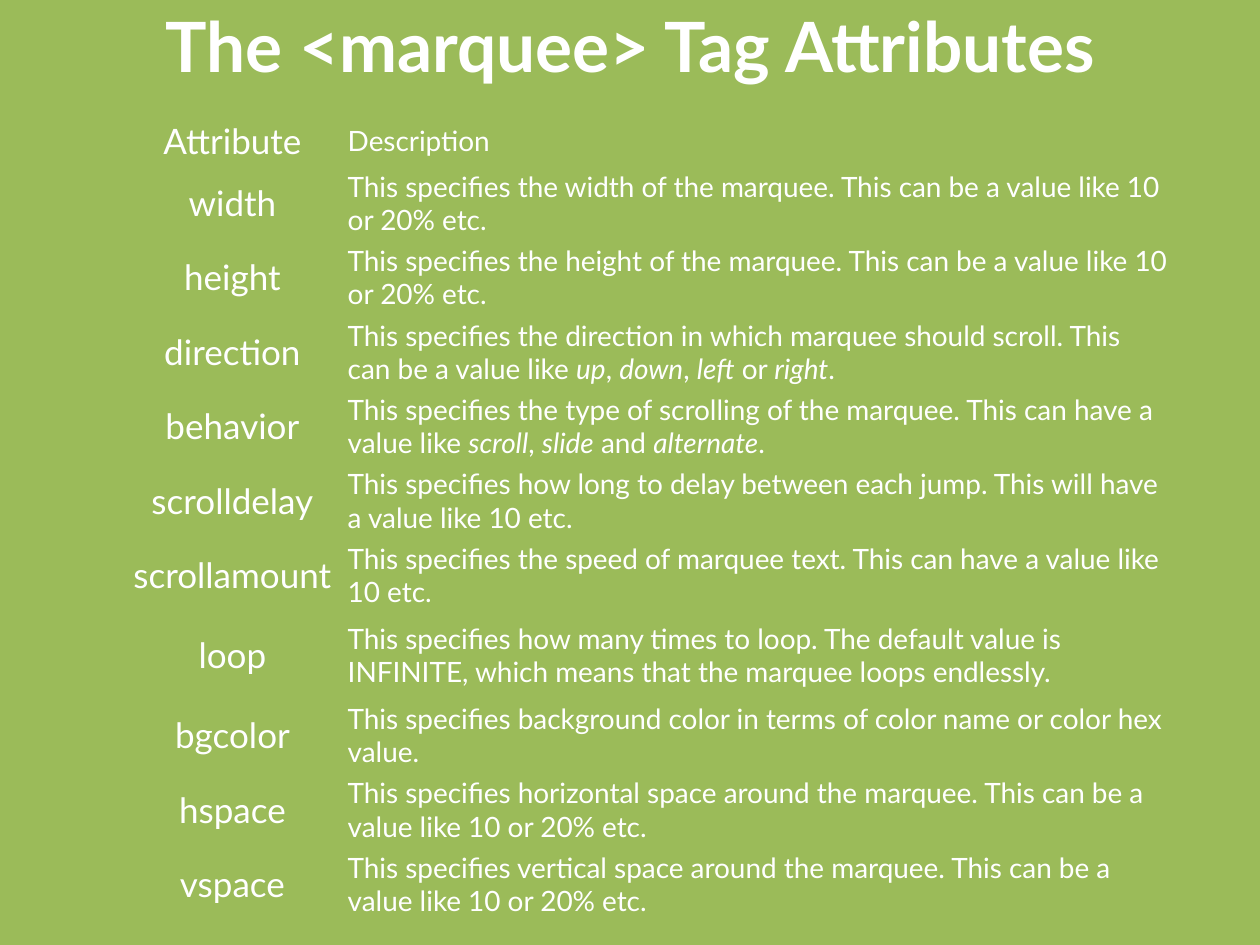
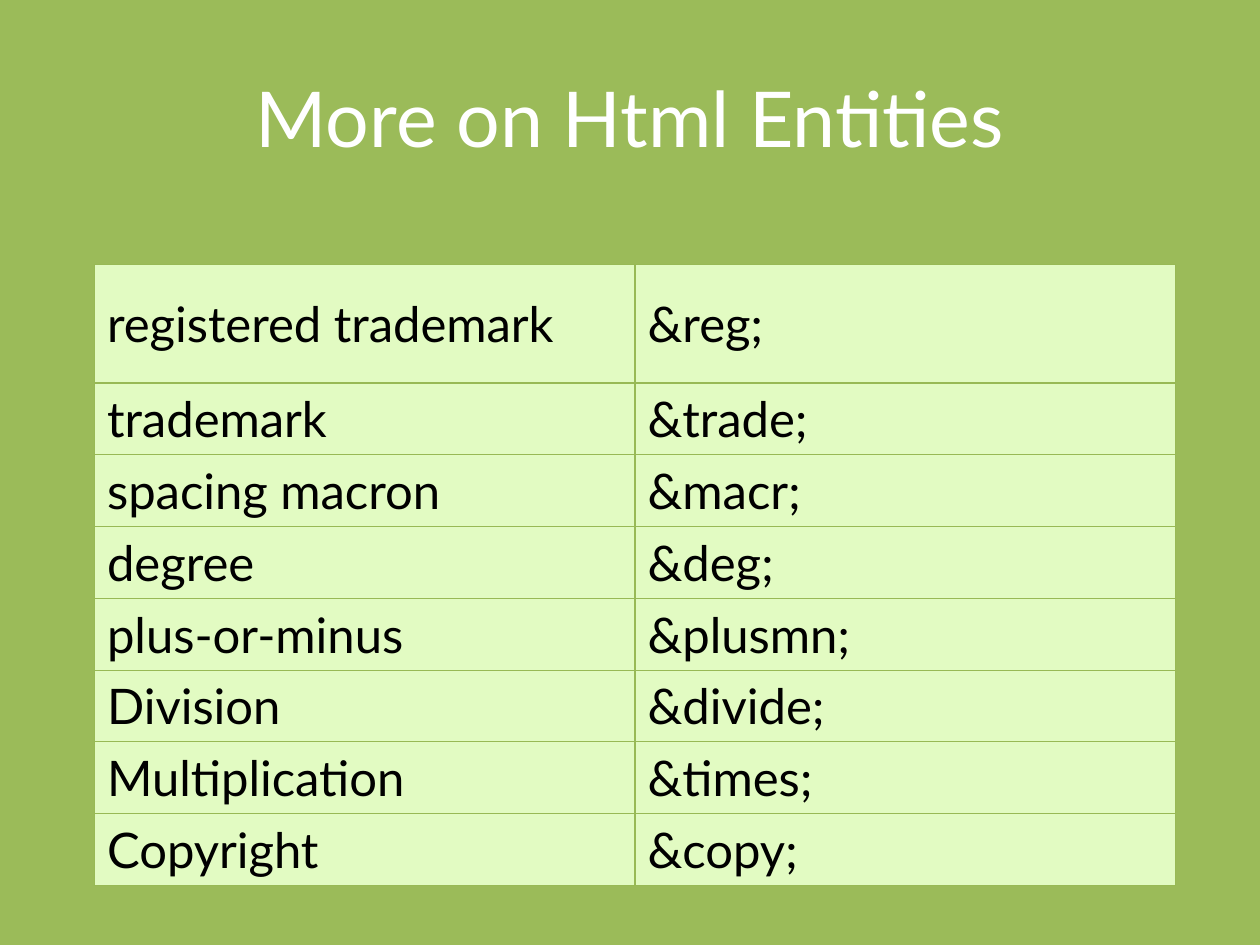
from dataclasses import dataclass

from lxml.etree import SubElement
from pptx import Presentation
from pptx.dml.color import RGBColor as Color
from pptx.enum.text import MSO_ANCHOR as Anchor, MSO_AUTO_SIZE as AutoSize, PP_ALIGN as Align
from pptx.oxml.ns import qn
from pptx.util import Inches, Pt


@dataclass(frozen=True)
class Theme:
    font: str = "Lato"
    background: str = "9BBB59"
    light_text: str = "FFFFFF"
    dark_text: str = "000000"
    cell_fill: str = "E2FBC2"
    border: str = "98B955"
    border_width: float = 0.75
    title_size: float = 44
    small_title_size: float = 39.6
    entity_size: float = 28
    attribute_size: float = 20
    description_size: float = 16


THEME = Theme()
PLAIN_TABLE_STYLE = "{2D5ABB26-0587-4C30-8999-92F81FD0307C}"

# Asterisks enclose italic words.
ATTRIBUTES = [
    ("Attribute", "Description"),
    ("width", "This specifies the width of the marquee. This can be a value like 10 or 20% etc."),
    ("height", "This specifies the height of the marquee. This can be a value like 10 or 20% etc."),
    ("direction", "This specifies the direction in which marquee should scroll. "
                  "This can be a value like *up*, *down*, *left* or *right*."),
    ("behavior", "This specifies the type of scrolling of the marquee. "
                 "This can have a value like *scroll*, *slide* and *alternate*."),
    ("scrolldelay", "This specifies how long to delay between each jump. "
                    "This will have a value like 10 etc."),
    ("scrollamount", "This specifies the speed of marquee text. This can have a value like 10 etc."),
    ("loop", "This specifies how many times to loop. The default value is INFINITE, "
             "which means that the marquee loops endlessly."),
    ("bgcolor", "This specifies background color in terms of color name or color hex value."),
    ("hspace", "This specifies horizontal space around the marquee. "
               "This can be a value like 10 or 20% etc."),
    ("vspace", "This specifies vertical space around the marquee. "
               "This can be a value like 10 or 20% etc."),
]

ENTITIES = [
    ("registered trademark", "&reg;"),
    ("trademark", "&trade;"),
    ("spacing macron", "&macr;"),
    ("degree", "&deg;"),
    ("plus-or-minus", "&plusmn;"),
    ("Division", "&divide;"),
    ("Multiplication", "&times;"),
    ("Copyright", "&copy;"),
]


def style_font(font, size, color, bold=False):
    font.name = THEME.font
    font.size = Pt(size)
    font.bold = bold
    font.color.rgb = Color.from_string(color)


def add_titled_slide(deck, text, top, height, size, bold=False):
    slide = deck.slides.add_slide(deck.slide_layouts[5])
    title = slide.shapes.title
    title.left, title.top = Inches(0.5), Inches(top)
    title.width, title.height = Inches(9), Inches(height)
    frame = title.text_frame
    frame.text = text
    frame.auto_size = AutoSize.NONE
    frame.vertical_anchor = Anchor.MIDDLE
    para = frame.paragraphs[0]
    para.alignment = Align.CENTER
    style_font(para.font, size, THEME.light_text, bold)
    return slide


def add_plain_table(slide, left, top, column_widths, row_heights):
    frame = slide.shapes.add_table(
        len(row_heights), len(column_widths), Inches(left), Inches(top),
        Inches(sum(column_widths)), Inches(sum(row_heights)))
    for style in frame.element.iter(qn("a:tableStyleId")):
        style.text = PLAIN_TABLE_STYLE
    table = frame.table
    table.first_row = table.horz_banding = False
    for column, width in zip(table.columns, column_widths):
        column.width = Inches(width)
    for row, height in zip(table.rows, row_heights):
        row.height = Inches(height)
    return table


def write_cell(cell, text, size, color, align=Align.LEFT):
    """Fill a cell with text; parts between asterisks become italic."""
    cell.vertical_anchor = Anchor.MIDDLE
    para = cell.text_frame.paragraphs[0]
    para.alignment = align
    style_font(para.font, size, color)
    for index, part in enumerate(text.split("*")):
        span = para.add_run()
        span.text = part
        style_font(span.font, size, color)
        if index % 2:
            span.font.italic = True


def add_borders(cell):
    properties = cell._tc.get_or_add_tcPr()
    for side in ("L", "R", "T", "B"):
        line = SubElement(properties, qn(f"a:ln{side}"), w=str(Pt(THEME.border_width)))
        fill = SubElement(line, qn("a:solidFill"))
        SubElement(fill, qn("a:srgbClr"), val=THEME.border)


def build_attributes_slide(deck):
    slide = add_titled_slide(deck, "The <marquee> Tag Attributes", 0.05, 0.61,
                             THEME.small_title_size, bold=True)
    special_heights = {"Attribute": 0.39, "loop": 0.68}
    heights = [special_heights.get(name, 0.58) for name, _ in ATTRIBUTES]
    table = add_plain_table(slide, 0.98, 0.92, (1.73, 6.61), heights)
    for cell in table.iter_cells():
        cell.margin_left = cell.margin_right = Inches(0.05)
        cell.margin_top = cell.margin_bottom = Inches(0.03)
        cell.fill.background()
    for row, (name, description) in zip(table.rows, ATTRIBUTES):
        write_cell(row.cells[0], name, THEME.attribute_size, THEME.light_text, Align.CENTER)
        write_cell(row.cells[1], description, THEME.description_size, THEME.light_text)


def build_entities_slide(deck):
    slide = add_titled_slide(deck, "More on Html Entities", 0.3, 1.25, THEME.title_size)
    heights = [0.94] + [0.57] * (len(ENTITIES) - 1)
    table = add_plain_table(slide, 0.75, 2.1, (4.29, 4.29), heights)
    for row, texts in zip(table.rows, ENTITIES):
        for cell, text in zip(row.cells, texts):
            write_cell(cell, text, THEME.entity_size, THEME.dark_text)
            add_borders(cell)
            cell.fill.solid()
            cell.fill.fore_color.rgb = Color.from_string(THEME.cell_fill)


def main():
    deck = Presentation()
    deck.slide_width, deck.slide_height = Inches(10), Inches(7.5)
    background = deck.slide_master.background.fill
    background.solid()
    background.fore_color.rgb = Color.from_string(THEME.background)
    build_attributes_slide(deck)
    build_entities_slide(deck)
    deck.save("out.pptx")


if __name__ == "__main__":
    main()
